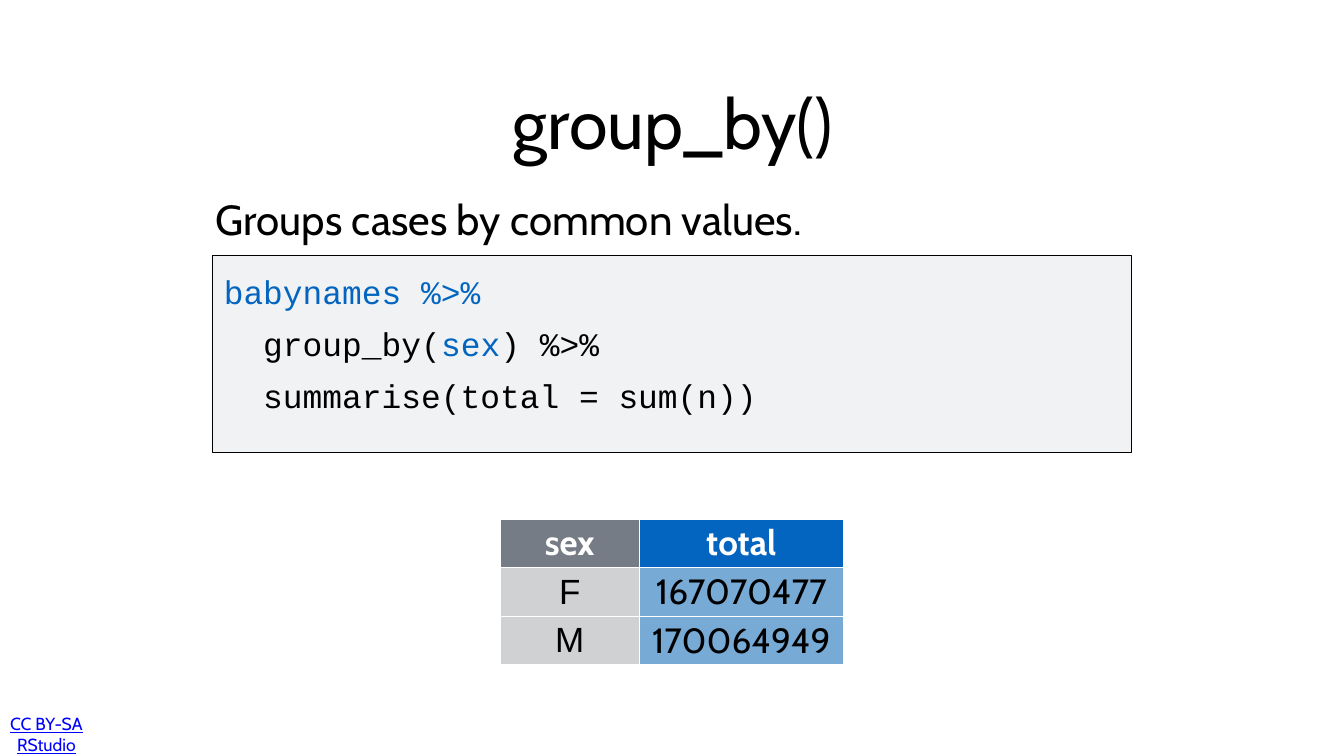
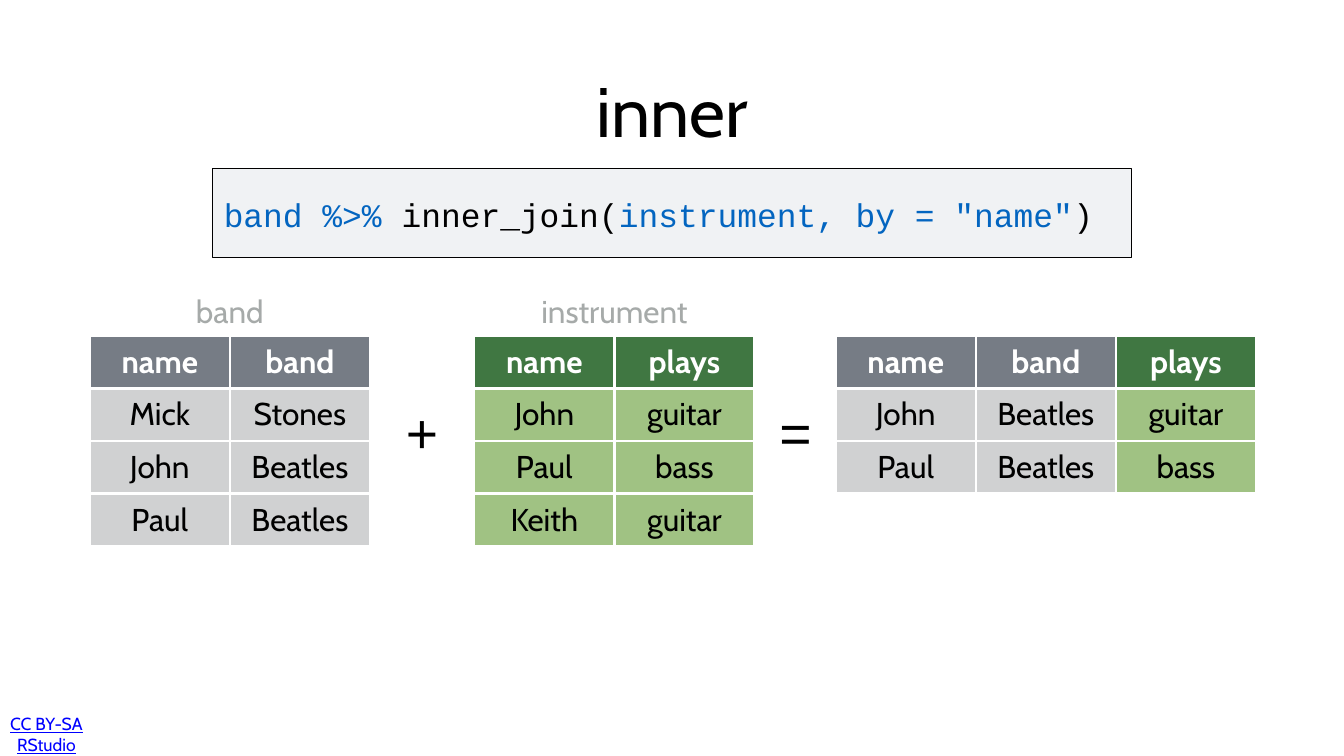
import dataclasses
import typing

import lxml.etree
import pptx
import pptx.dml.color
import pptx.enum.shapes
import pptx.enum.text
import pptx.oxml.ns
import pptx.slide
import pptx.text.text
import pptx.util

ALIGN = pptx.enum.text.PP_ALIGN
ANCHOR = pptx.enum.text.MSO_ANCHOR
WIDTH = pptx.util.Inches(26.67)
HEIGHT = pptx.util.Inches(15)
COLUMNS, ROWS = 160, 90
TITLE_ONLY, TITLE_AND_BODY = 5, 1


class Area(typing.NamedTuple):
    column: float
    row: float
    columns: float
    rows: float

    def lengths(self) -> dict[str, int]:
        return {
            "left": across(self.column), "top": down(self.row),
            "width": across(self.columns), "height": down(self.rows),
        }


class Token(typing.NamedTuple):
    text: str
    accent: bool = False


@dataclasses.dataclass(frozen=True)
class Style:
    size: float
    color: str
    font: str = "Cabin"
    bold: bool = False
    underline: bool = False
    align: ALIGN = ALIGN.CENTER
    anchor: ANCHOR = ANCHOR.MIDDLE
    wrap: bool = True
    margins: tuple[float, float, float, float] = (0.06, 0.06, 0.06, 0.06)
    gap: float = 0


@dataclasses.dataclass(frozen=True)
class Theme:
    black: str = "000000"
    white: str = "FFFFFF"
    accent: str = "0365C0"
    panel: str = "F0F2F4"
    gray: tuple[str, str] = ("767C85", "D0D1D2")
    blue: tuple[str, str] = ("0365C0", "78AAD6")
    green: tuple[str, str] = ("407742", "A0C283")
    title: Style = Style(100, "000000")
    lead: Style = Style(60, "000000", align=ALIGN.LEFT)
    code: Style = Style(47, "000000", "Courier New", align=ALIGN.LEFT,
                        anchor=ANCHOR.TOP, margins=(0.06, 0.13, 0.06, 0.06), gap=18)
    label: Style = Style(45, "A6AAA9", margins=(0.08,) * 4)
    operator: Style = Style(79, "000000", "Arial", wrap=False, margins=(0.08,) * 4)
    footer: Style = Style(25, "0000FF", underline=True, margins=(0, 0.08, 1.06, 0.08))
    totals: Style = Style(50, "000000")
    joined: Style = Style(45, "000000")


@dataclasses.dataclass(frozen=True)
class DataTable:
    column: float
    row: float
    widths: tuple[float, ...]
    row_height: float
    records: tuple[tuple[str, ...], ...]
    palettes: tuple[tuple[str, str], ...]
    style: Style
    border: float
    fonts: tuple[str, ...] = ()
    label: str = ""
    label_width: float = 0

    def area(self) -> Area:
        return Area(self.column, self.row, sum(self.widths),
                    self.row_height * len(self.records))


THEME = Theme()
FOOTER = Area(0.72, 85.56, 15.96, 3.6)
JOIN_TOP, JOIN_COLUMN, JOIN_ROW = 39.96, 16.68, 6.27


def across(columns: float) -> int:
    return round(WIDTH * columns / COLUMNS)


def down(rows: float) -> int:
    return round(HEIGHT * rows / ROWS)


def assign(target: typing.Any, values: dict[str, typing.Any]) -> None:
    for attribute, value in values.items():
        setattr(target, attribute, value)


def rgb(color: str) -> pptx.dml.color.RGBColor:
    return pptx.dml.color.RGBColor.from_string(color)


def margin_values(style: Style) -> dict[str, int]:
    sides = ("margin_left", "margin_top", "margin_right", "margin_bottom")
    return {side: pptx.util.Inches(margin) for side, margin in zip(sides, style.margins)}


def write(frame: pptx.text.text.TextFrame, lines: list[list[Token]], style: Style) -> None:
    for index, tokens in enumerate(lines):
        paragraph = frame.paragraphs[0] if index == 0 else frame.add_paragraph()
        assign(paragraph, {
            "alignment": style.align,
            "space_before": pptx.util.Pt(style.gap if index else 0),
        })
        for token in tokens:
            run = paragraph.add_run()
            run.text = token.text
            assign(run.font, {
                "name": style.font, "size": pptx.util.Pt(style.size),
                "bold": style.bold, "underline": style.underline,
            })
            run.font.color.rgb = rgb(THEME.accent if token.accent else style.color)


def fill_frame(frame: pptx.text.text.TextFrame, lines: list[list[Token]],
               style: Style) -> None:
    assign(frame, {
        "word_wrap": style.wrap, "vertical_anchor": style.anchor,
        "auto_size": pptx.enum.text.MSO_AUTO_SIZE.NONE, **margin_values(style),
    })
    write(frame, lines, style)


def add_text(slide: pptx.slide.Slide, area: Area, lines: list[list[Token]],
             style: Style) -> None:
    box = slide.shapes.add_textbox(**area.lengths())
    fill_frame(box.text_frame, lines, style)


def add_code(slide: pptx.slide.Slide, panel_area: Area, code_area: Area,
             lines: list[list[Token]]) -> None:
    panel = slide.shapes.add_shape(pptx.enum.shapes.MSO_SHAPE.RECTANGLE,
                                   **panel_area.lengths())
    panel.shadow.inherit = False
    panel.fill.solid()
    panel.fill.fore_color.rgb = rgb(THEME.panel)
    panel.line.color.rgb = rgb(THEME.black)
    panel.line.width = pptx.util.Pt(1)
    add_text(slide, code_area, lines, THEME.code)


def add_borders(cell: typing.Any, points: float) -> None:
    properties = cell._tc.get_or_add_tcPr()
    qn = pptx.oxml.ns.qn
    for edge in ("a:lnL", "a:lnR", "a:lnT", "a:lnB"):
        line = lxml.etree.SubElement(properties, qn(edge), w=str(pptx.util.Pt(points)))
        solid = lxml.etree.SubElement(line, qn("a:solidFill"))
        lxml.etree.SubElement(solid, qn("a:srgbClr"), val=THEME.white)


def add_data_table(slide: pptx.slide.Slide, data: DataTable) -> None:
    area = data.area()
    grid = slide.shapes.add_table(len(data.records), len(data.widths),
                                  **area.lengths()).table
    grid.horz_banding = False
    for column, width in zip(grid.columns, data.widths):
        column.width = across(width)
    for row_index, record in enumerate(data.records):
        grid.rows[row_index].height = down(data.row_height)
        heading = row_index == 0
        for column_index, value in enumerate(record):
            cell = grid.cell(row_index, column_index)
            add_borders(cell, data.border)
            cell.fill.solid()
            cell.fill.fore_color.rgb = rgb(data.palettes[column_index][0 if heading else 1])
            assign(cell, {"vertical_anchor": data.style.anchor, **margin_values(data.style)})
            style = data.style
            if heading:
                style = dataclasses.replace(style, color=THEME.white, bold=True)
            elif data.fonts:
                style = dataclasses.replace(style, font=data.fonts[column_index])
            write(cell.text_frame, [[Token(value)]], style)
    if data.label:
        label_area = Area(area.column + (area.columns - data.label_width) / 2,
                          area.row - 6, data.label_width, 6)
        add_text(slide, label_area, [[Token(data.label)]], THEME.label)


def start_slide(deck: typing.Any, layout: int, title: str, area: Area) -> pptx.slide.Slide:
    slide = deck.slides.add_slide(deck.slide_layouts[layout])
    assign(slide.shapes.title, area.lengths())
    fill_frame(slide.shapes.title.text_frame, [[Token(title)]], THEME.title)
    add_text(slide, FOOTER, [[Token("CC BY-SA RStudio")]], THEME.footer)
    return slide


def build_group_by(deck: typing.Any) -> None:
    slide = start_slide(deck, TITLE_AND_BODY, "group_by()", Area(26.4, 6.6, 107.4, 15.72))
    lead = slide.placeholders[1]
    assign(lead, Area(25.32, 21.3, 109.38, 9.36).lengths())
    properties = lead.text_frame.paragraphs[0]._p.get_or_add_pPr()
    for indent in ("marL", "indent"):
        properties.set(indent, "0")
    lxml.etree.SubElement(properties, pptx.oxml.ns.qn("a:buNone"))
    fill_frame(lead.text_frame, [[Token("Groups cases by common values.")]], THEME.lead)
    add_code(slide, Area(25.32, 30.36, 109.32, 23.46), Area(26.28, 31.56, 103.44, 21.06), [
        [Token("babynames %>%", True)],
        [Token("  group_by("), Token("sex", True), Token(") %>%")],
        [Token("  summarise(total = sum(n))")],
    ])
    add_data_table(slide, DataTable(
        59.58, 61.8, (16.5, 24.36), 5.34,
        (("sex", "total"), ("F", "167070477"), ("M", "170064949")),
        (THEME.gray, THEME.blue), THEME.totals, 1, fonts=("Arial", "Cabin")))


def join_table(column: float, records: tuple[tuple[str, ...], ...],
               palettes: tuple[tuple[str, str], ...], label: str = "",
               label_width: float = 0) -> DataTable:
    return DataTable(column, JOIN_TOP, (JOIN_COLUMN,) * len(palettes), JOIN_ROW, records,
                     palettes, THEME.joined, 4, label=label, label_width=label_width)


def build_inner_join(deck: typing.Any) -> None:
    slide = start_slide(deck, TITLE_ONLY, "inner", Area(26.28, 5.16, 107.4, 15.72))
    add_code(slide, Area(25.32, 20.04, 109.32, 10.62), Area(26.28, 22.44, 107.4, 9.36), [
        [Token("band %>% ", True), Token("inner_join("),
         Token('instrument, by = "name"', True), Token(")")],
    ])
    gray, green = THEME.gray, THEME.green
    for data in (
        join_table(10.68, (("name", "band"), ("Mick", "Stones"), ("John", "Beatles"),
                           ("Paul", "Beatles")), (gray, gray), "band", 16.14),
        join_table(56.46, (("name", "plays"), ("John", "guitar"), ("Paul", "bass"),
                           ("Keith", "guitar")), (green, green), "instrument", 20.4),
        join_table(99.48, (("name", "band", "plays"), ("John", "Beatles", "guitar"),
                           ("Paul", "Beatles", "bass")), (gray, gray, green)),
    ):
        add_data_table(slide, data)
    for sign, column in (("+", 47.76), ("=", 92.22)):
        add_text(slide, Area(column, 46.98, 4.98, 8.76), [[Token(sign)]], THEME.operator)


def main() -> None:
    deck = pptx.Presentation()
    assign(deck, {"slide_width": WIDTH, "slide_height": HEIGHT})
    build_group_by(deck)
    build_inner_join(deck)
    deck.save("out.pptx")


if __name__ == "__main__":
    main()
